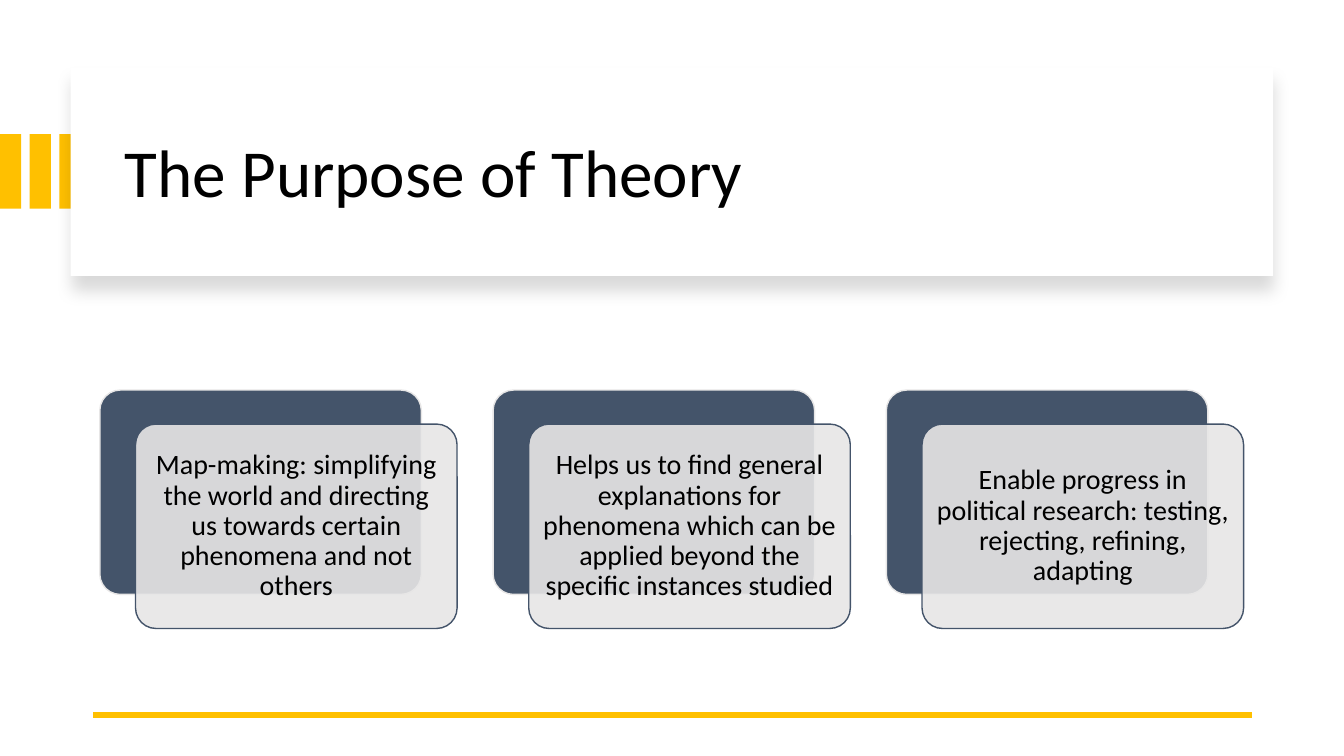
from dataclasses import dataclass

import pptx
import pptx.dml.color
import pptx.enum.shapes
import pptx.enum.text
import pptx.util
from lxml import etree
from pptx.oxml.ns import qn

Pt = pptx.util.Pt
SHAPE = pptx.enum.shapes.MSO_SHAPE


@dataclass(frozen=True)
class Theme:
    font: str = "Calibri"
    title_size: float = 48
    card_size: float = 20
    black: str = "000000"
    white: str = "FFFFFF"
    gold: str = "FFC000"
    slate: str = "44546A"
    grey: str = "E7E6E6"


@dataclass(frozen=True)
class Box:
    left: float
    top: float
    width: float
    height: float

    def moved(self, dx: float, dy: float = 0) -> "Box":
        return Box(self.left + dx, self.top + dy, self.width, self.height)

    def lengths(self) -> list:
        return [Pt(v) for v in (self.left, self.top, self.width, self.height)]


THEME = Theme()
BAR, BAR_PITCH, BAR_COUNT = Box(0, 95.8, 15.2, 53.2), 21.2, 3
PANEL = Box(50.4, 48.2, 859, 149)
TITLE = Box(82.1, 64.1, 801.4, 122.4)
CARD, CARD_PITCH = Box(71.3, 278.6, 229.7, 146), 280.9
FRONT_DX, FRONT_DY = 25.5, 24.3
RULE_LEFT, RULE_RIGHT, RULE_Y = 66.2, 894.2, 510.5
CARD_TEXTS = (
    "Map-making: simplifying the world and directing us towards certain phenomena and not others",
    "Helps us to find general explanations for phenomena which can be applied beyond "
    "the specific instances studied",
    "Enable progress in political research: testing, rejecting, refining, adapting",
)


def rgb(color: str) -> pptx.dml.color.RGBColor:
    return pptx.dml.color.RGBColor.from_string(color)


def add_block(slide, kind, box: Box, fill: str, line: str | None = None):
    sp = slide.shapes.add_shape(kind, *box.lengths())
    sp.shadow.inherit = False
    sp.fill.solid()
    sp.fill.fore_color.rgb = rgb(fill)
    if line:
        sp.line.color.rgb = rgb(line)
        sp.line.width = Pt(1)
    else:
        sp.line.fill.background()
    return sp


def add_alpha(color_element, percent: int) -> None:
    etree.SubElement(color_element, qn("a:alpha"), val=str(percent * 1000))


def add_shadow(sp, color: str, percent: int, blur: float, distance: float) -> None:
    """Cast a soft shadow straight down."""
    effects = sp._element.spPr.find(qn("a:effectLst"))
    shadow = etree.SubElement(
        effects, qn("a:outerShdw"), blurRad=str(Pt(blur)), dist=str(Pt(distance)),
        dir="5400000", algn="t", rotWithShape="0")
    add_alpha(etree.SubElement(shadow, qn("a:srgbClr"), val=color), percent)


def write(sp, text: str, size: float, align) -> None:
    tf = sp.text_frame
    tf.word_wrap = True
    tf.vertical_anchor = pptx.enum.text.MSO_ANCHOR.MIDDLE
    p = tf.paragraphs[0]
    p.text = text
    p.alignment = align
    p.line_spacing = 0.9
    p.font.name = THEME.font
    p.font.size = Pt(size)
    p.font.color.rgb = rgb(THEME.black)


def add_card(slide, box: Box, text: str) -> None:
    front_box = box.moved(FRONT_DX, FRONT_DY)
    back = add_block(slide, SHAPE.ROUNDED_RECTANGLE, box, THEME.slate, THEME.grey)
    front = add_block(slide, SHAPE.ROUNDED_RECTANGLE, front_box, THEME.grey, THEME.slate)
    for sp in (back, front):
        sp.adjustments[0] = 0.1
    add_alpha(front._element.spPr.find(qn("a:solidFill"))[0], 90)
    tf = front.text_frame
    tf.margin_left = tf.margin_right = tf.margin_top = tf.margin_bottom = Pt(5.5)
    write(front, text, THEME.card_size, pptx.enum.text.PP_ALIGN.CENTER)


def add_rule(slide) -> None:
    rule = slide.shapes.add_connector(
        pptx.enum.shapes.MSO_CONNECTOR.STRAIGHT,
        Pt(RULE_RIGHT), Pt(RULE_Y), Pt(RULE_LEFT), Pt(RULE_Y))
    rule.line.color.rgb = rgb(THEME.gold)
    rule.line.width = Pt(4.5)
    etree.SubElement(rule._element.spPr, qn("a:effectLst"))


def main() -> None:
    prs = pptx.Presentation()
    prs.slide_width, prs.slide_height = Pt(960), Pt(540)
    s = prs.slides.add_slide(prs.slide_layouts[6])

    # Gold bars running under the title panel
    for i in range(BAR_COUNT):
        add_block(s, SHAPE.RECTANGLE, BAR.moved(i * BAR_PITCH), THEME.gold)

    # Title panel
    panel = add_block(s, SHAPE.RECTANGLE, PANEL, THEME.white)
    add_shadow(panel, THEME.black, percent=15, blur=11, distance=10)
    title = s.shapes.add_textbox(*TITLE.lengths())
    write(title, "The Purpose of Theory", THEME.title_size, pptx.enum.text.PP_ALIGN.LEFT)

    # Bottom rule
    add_rule(s)

    # Cards
    for i, text in enumerate(CARD_TEXTS):
        add_card(s, CARD.moved(i * CARD_PITCH), text)

    prs.save("out.pptx")


if __name__ == "__main__":
    main()
